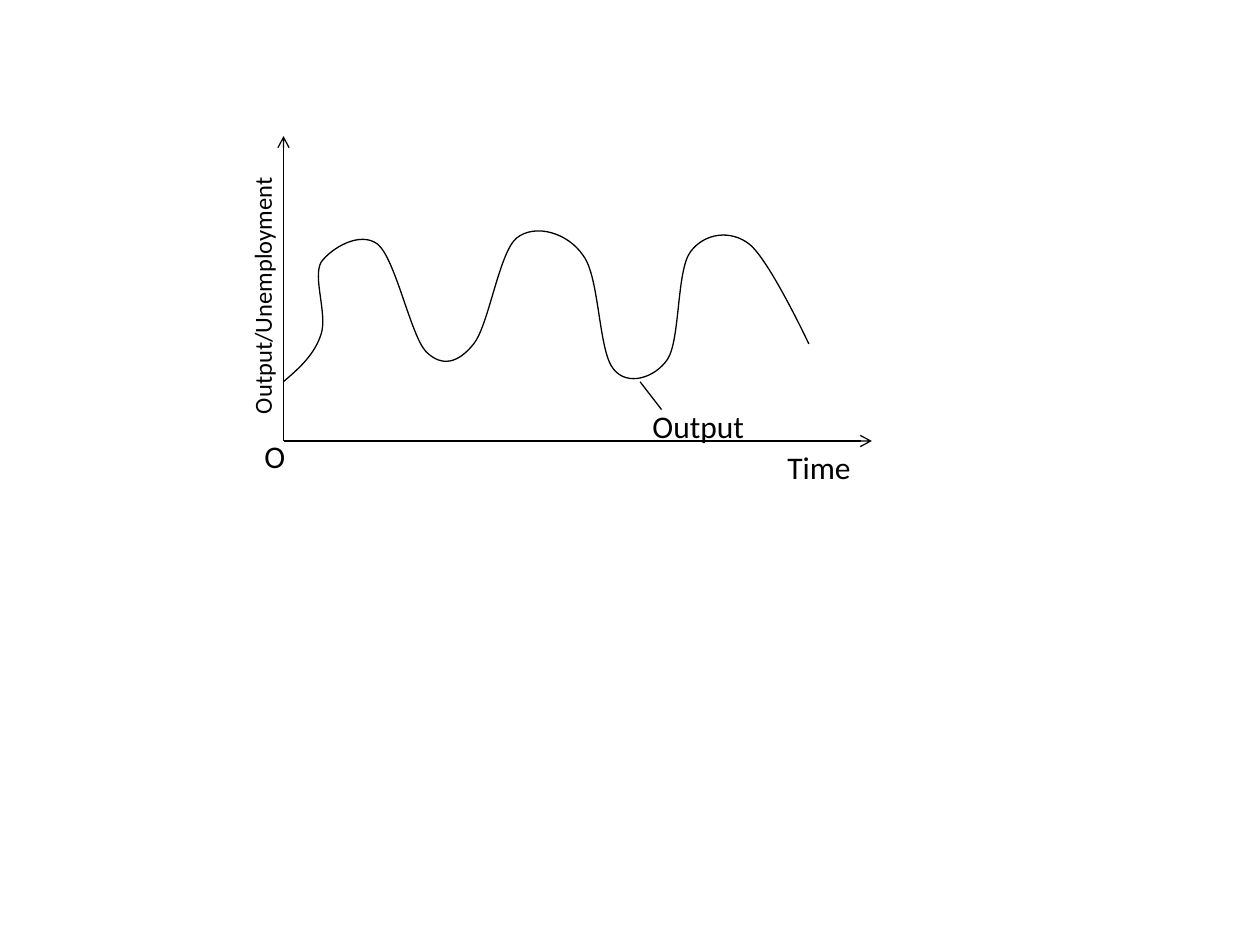
from pptx import Presentation
from pptx.dml.color import RGBColor
from pptx.enum import shapes, text
from pptx.oxml.ns import qn
from pptx.util import Inches, Pt
from lxml import etree

COLORS = {"ink": "000000"}
INK = RGBColor.from_string(COLORS["ink"])

# Cubic segments in inches: two control points, then the end point
START = (2.25, 3.03)
CURVE = [
    ((2.38, 2.92), (2.5, 2.81), (2.55, 2.65)),
    ((2.6, 2.49), (2.48, 2.2), (2.55, 2.08)),
    ((2.63, 1.97), (2.86, 1.83), (3, 1.94)),
    ((3.14, 2.06), (3.26, 2.66), (3.38, 2.79)),
    ((3.51, 2.92), (3.64, 2.88), (3.76, 2.73)),
    ((3.88, 2.58), (3.96, 2.01), (4.1, 1.89)),
    ((4.25, 1.77), (4.51, 1.85), (4.63, 2.03)),
    ((4.76, 2.2), (4.75, 2.79), (4.87, 2.93)),
    ((4.98, 3.07), (5.2, 3), (5.3, 2.85)),
    ((5.4, 2.69), (5.37, 2.15), (5.48, 2)),
    ((5.59, 1.85), (5.8, 1.82), (5.95, 1.94)),
    ((6.11, 2.07), (6.42, 2.73), (6.42, 2.73)),
]
CREST = 1.83  # highest point of the curve


def ink(line):
    line.color.rgb = INK
    line.width = Pt(0.75)


def add_line(slide, start, end, arrow=False):
    line = slide.shapes.add_connector(
        shapes.MSO_CONNECTOR.STRAIGHT, *map(Inches, (*start, *end)))
    ink(line.line)
    if arrow:
        etree.SubElement(line.line._get_or_add_ln(), qn("a:tailEnd"), type="arrow")
    etree.SubElement(line._element.spPr, qn("a:effectLst"))


def add_text(slide, words, box, size=18, turn=0):
    label = slide.shapes.add_textbox(*map(Inches, box))
    label.rotation = turn
    frame = label.text_frame
    frame.word_wrap = False
    frame.auto_size = text.MSO_AUTO_SIZE.SHAPE_TO_FIT_TEXT
    run = frame.paragraphs[0].add_run()
    run.text = words
    run.font.name = "Calibri"
    run.font.size = Pt(size)
    run.font.color.rgb = INK


def add_axes(slide, left, top, width, height):
    base = top + height
    add_line(slide, (left, base), (left, top), arrow=True)
    add_line(slide, (left, base), (left + width, base), arrow=True)
    add_text(slide, "Time", (left + width - 0.77, base + 0.01, 0.77, 0.4))
    add_text(slide, "Output/Unemployment", (left - 1.26, top + 1.04, 2.19, 0.34),
             size=14, turn=270)
    add_text(slide, "O", (left - 0.25, base - 0.08, 0.37, 0.4))


def bend(wave):
    """Turn the outline of straight steps into cubic segments."""
    track = wave._element.find(".//" + qn("a:path"))
    track.set("w", str(wave.width))
    track.set("h", str(wave.height))
    for node in list(track):
        track.remove(node)
    steps = [("a:moveTo", [START])]
    steps += [("a:cubicBezTo", part) for part in CURVE]
    steps.append(("a:lnTo", [CURVE[-1][-1]]))
    for tag, points in steps:
        step = etree.SubElement(track, qn(tag))
        for x, y in points:
            etree.SubElement(step, qn("a:pt"), x=str(Inches(x - START[0])),
                             y=str(Inches(y - CREST)))


def add_wave(slide, left, top, width, height):
    """Draw the output curve in its box, with its label."""
    base = top + height
    form = slide.shapes.build_freeform(Inches(left), Inches(base))
    form.add_line_segments([(Inches(left + width), Inches(top))], close=False)
    wave = form.convert_to_shape()
    bend(wave)
    wave.shadow.inherit = False
    wave.fill.background()
    ink(wave.line)
    add_line(slide, (left + 2.83, base), (left + 3, base + 0.22))
    add_text(slide, "Output", (left + 2.83, base + 0.15, 0.99, 0.4))


def main():
    deck = Presentation()
    deck.slide_width, deck.slide_height = Inches(10), Inches(7.5)
    slide = deck.slides.add_slide(deck.slide_layouts[6])
    add_axes(slide, 2.25, 1.08, 4.67, 2.42)
    add_wave(slide, 2.25, CREST, 4.16, 1.2)
    deck.save("out.pptx")


if __name__ == "__main__":
    main()
